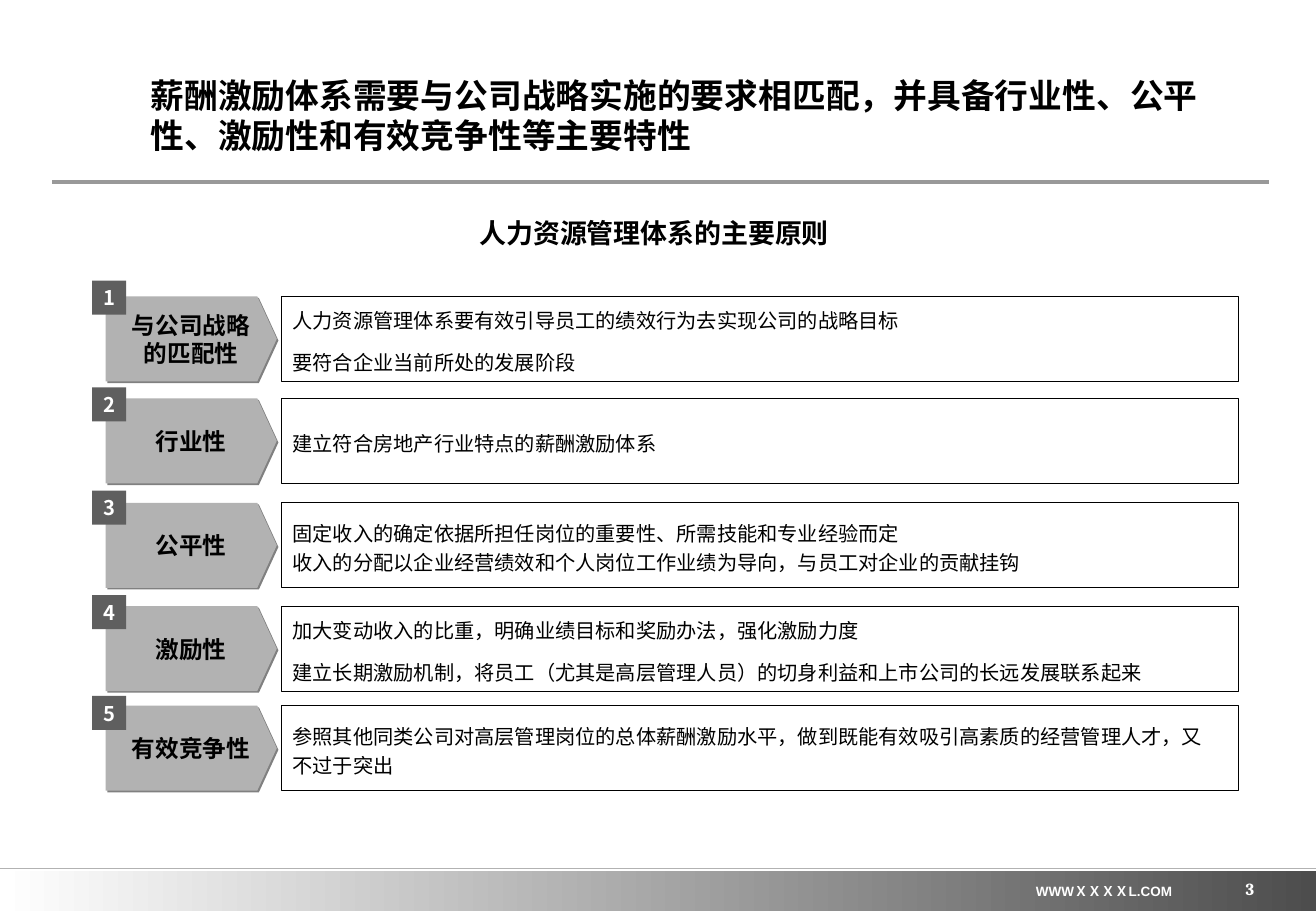
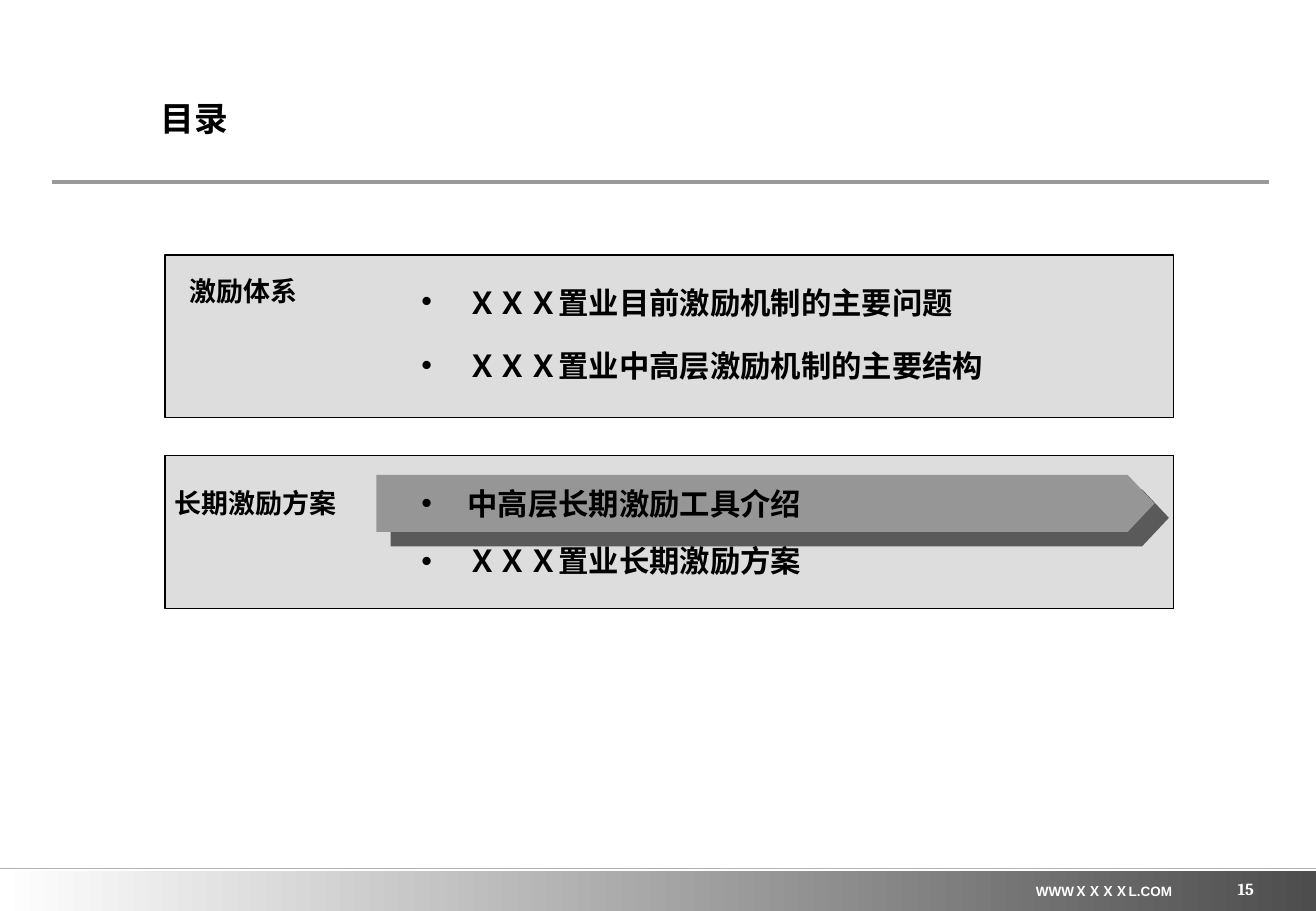
from lxml.etree import SubElement
from pptx import Presentation
from pptx.dml.color import RGBColor
from pptx.enum.shapes import MSO_CONNECTOR, MSO_SHAPE
from pptx.enum.text import MSO_ANCHOR, MSO_AUTO_SIZE, PP_ALIGN
from pptx.oxml.ns import qn
from pptx.util import Inches, Pt

SANS = "Noto Sans CJK SC"
SERIF = "Cambria"
BLACK = "000000"
WHITE = "FFFFFF"
LEFT, MID, RIGHT = PP_ALIGN.LEFT, PP_ALIGN.CENTER, PP_ALIGN.RIGHT
hue = RGBColor.from_string


def block(slide, kind, place, fill, line=None, shade=None):
    shape = slide.shapes.add_shape(kind, *map(Inches, place))
    shape.shadow.inherit = False
    shape.fill.solid()
    shape.fill.fore_color.rgb = hue(fill)
    if line:
        shape.line.color.rgb = hue(BLACK)
        shape.line.width = Pt(line)
    else:
        shape.line.fill.background()
    if shade:
        color, dist = shade
        effect = shape.element.spPr.find(qn("a:effectLst"))
        cast = SubElement(effect, qn("a:outerShdw"), dist=str(Pt(dist)), dir="2700000", algn="ctr", rotWithShape="0")
        SubElement(cast, qn("a:srgbClr"), val=color)
    return shape


def write(shape, lines, size, color=BLACK, font=SANS, bold=True, align=LEFT,
          anchor=MSO_ANCHOR.MIDDLE, inset=(0, 0, 0, 0), space=None, gap=0, wrap=True):
    frame = shape.text_frame
    frame.auto_size = MSO_AUTO_SIZE.NONE
    frame.word_wrap = wrap
    frame.vertical_anchor = anchor
    frame.margin_left, frame.margin_top, frame.margin_right, frame.margin_bottom = map(Inches, inset)
    frame.text = "\n".join(lines)
    for i, para in enumerate(frame.paragraphs):
        para.alignment = align
        para.line_spacing = space
        para.space_before = Pt(gap if i else 0)
        para.font.name = font
        para.font.size = Pt(size)
        para.font.bold = bold
        para.font.color.rgb = hue(color)
        for run in para.runs:
            SubElement(run.font._element, qn("a:ea"), typeface=SANS)
    return frame.paragraphs


deck = Presentation()
deck.slide_width, deck.slide_height = Inches(10.84), Inches(7.5)
rules = deck.slides.add_slide(deck.slide_layouts[5])
agenda = deck.slides.add_slide(deck.slide_layouts[1])

band = block(rules, MSO_SHAPE.RECTANGLE, (0, 7.17, 10.84, 0.33), WHITE)
band.fill.gradient()
band.fill.gradient_angle = 0
for stop, color, pos in zip(band.fill.gradient_stops, (WHITE, "4D4D4D"), (0, 1)):
    stop.color.rgb = hue(color)
    stop.position = pos
site = rules.shapes.add_textbox(Inches(8.41), Inches(7.22), Inches(1.37), Inches(0.24))
write(site, ["WWWＸＸＸＸL.COM"], 8, WHITE, "Arial", align=MID, wrap=False)
shared = [band, site]
for start, end, top, color, width in ((0.43, 10.45, 1.5, "999999", 2.5), (0, 10.84, 7.15, "B2B2B2", 1)):
    rule = rules.shapes.add_connector(MSO_CONNECTOR.STRAIGHT, Inches(start), Inches(top), Inches(end), Inches(top))
    rule.line.color.rgb = hue(color)
    rule.line.width = Pt(width)
    SubElement(rule.element.spPr, qn("a:effectLst"))
    shared.append(rule)
for i, shape in enumerate(shared, 20):
    shape.element.xpath(".//p:cNvPr")[0].set("id", str(i))
    deck.slide_master.shapes.element.append(shape.element)

heads = [
    (rules, "薪酬激励体系需要与公司战略实施的要求相匹配，并具备行业性、公平性、激励性和有效竞争性等主要特性", (1.24, 0.58, 8.86, 0.73), "3"),
    (agenda, "目录", (1.32, 0.72, 2.71, 0.5), "15"),
]
for slide, text, place, page in heads:
    title = slide.shapes.title
    title.left, title.top, title.width, title.height = map(Inches, place)
    write(title, [text], 20)
    number = slide.shapes.add_textbox(Inches(8.07), Inches(7.07), Inches(2.26), Inches(0.33))
    write(number, [page], 10, WHITE, SERIF, align=RIGHT, anchor=MSO_ANCHOR.BOTTOM)

topic = rules.shapes.add_textbox(Inches(0.72), Inches(1.83), Inches(9.34), Inches(0.22))
write(topic, ["人力资源管理体系的主要原则"], 16, align=MID, anchor=MSO_ANCHOR.TOP, space=Pt(16))

rows = [
    (2.44, 2.31, ["与公司战略", "的匹配性"], 1.2, ["人力资源管理体系要有效引导员工的绩效行为去实现公司的战略目标", "要符合企业当前所处的发展阶段"]),
    (3.28, 3.19, ["行业性"], 1.2, ["建立符合房地产行业特点的薪酬激励体系"]),
    (4.14, 4.04, ["公平性"], 0.7, ["固定收入的确定依据所担任岗位的重要性、所需技能和专业经验而定", "收入的分配以企业经营绩效和个人岗位工作业绩为导向，与员工对企业的贡献挂钩"]),
    (4.99, 4.9, ["激励性"], 1.2, ["加大变动收入的比重，明确业绩目标和奖励办法，强化激励力度", "建立长期激励机制，将员工（尤其是高层管理人员）的切身利益和上市公司的长远发展联系起来"]),
    (5.81, 5.73, ["有效竞争性"], 1.2, ["参照其他同类公司对高层管理岗位的总体薪酬激励水平，做到既能有效吸引高素质的经营管理人才，又不过于突出"]),
]
for i, (top, mark, name, space, lines) in enumerate(rows, 1):
    arrow = block(rules, MSO_SHAPE.PENTAGON, (0.87, top, 1.41, 0.7), "B2B2B2", shade=("808080", 1.4))
    arrow.adjustments[0] = 0.23
    write(arrow, name, 14, align=MID, inset=(0.08, 0, 0, 0))
    panel = block(rules, MSO_SHAPE.RECTANGLE, (2.32, top, 7.88, 0.7), WHITE, 0.5)
    drop = 0.09 if space < 1 else 0
    write(panel, lines, 12, bold=False, inset=(0.09, drop, 0.17, 0), space=space, gap=7.5)
    badge = block(rules, MSO_SHAPE.RECTANGLE, (0.76, mark, 0.28, 0.28), "5F5F5F")
    write(badge, [str(i)], 12, WHITE, align=MID)

parts = [
    (2.1, 1.34, "激励体系", (1.56, 2.21, 0.89, 0.32)),
    (3.75, 1.26, "长期激励方案", (1.44, 3.95, 1.33, 0.32)),
]
for top, height, name, place in parts:
    block(agenda, MSO_SHAPE.RECTANGLE, (1.36, top, 8.31, height), "DDDDDD", 0.75)
    label = agenda.shapes.add_textbox(*map(Inches, place))
    write(label, [name], 16, align=MID, anchor=MSO_ANCHOR.TOP, space=1.2, wrap=False)
focus = block(agenda, MSO_SHAPE.PENTAGON, (3.1, 3.91, 6.41, 0.47), "969696", shade=("5A5A5A", 12.1))
focus.adjustments[0] = 0.47

body = agenda.placeholders[1]
body.left, body.top, body.width, body.height = map(Inches, (3.37, 2.37, 6.77, 2.51))
agenda.shapes.element.append(body.element)
items = ["ＸＸＸ置业目前激励机制的主要问题", "ＸＸＸ置业中高层激励机制的主要结构", "中高层长期激励工具介绍", "ＸＸＸ置业长期激励方案"]
paras = write(body, items, 18, font=SERIF, anchor=MSO_ANCHOR.TOP, inset=(0.1, 0.05, 0.1, 0.05))
for para, space, gap in zip(paras, (0.7, 0.7, 1, 1), (0, 22.5, 60.5, 12.4)):
    para.line_spacing = space
    para.space_before = Pt(gap)
    form = para._p.get_or_add_pPr()
    form.set("marL", str(Inches(0.38)))
    form.set("indent", str(-Inches(0.38)))

deck.save("out.pptx")
